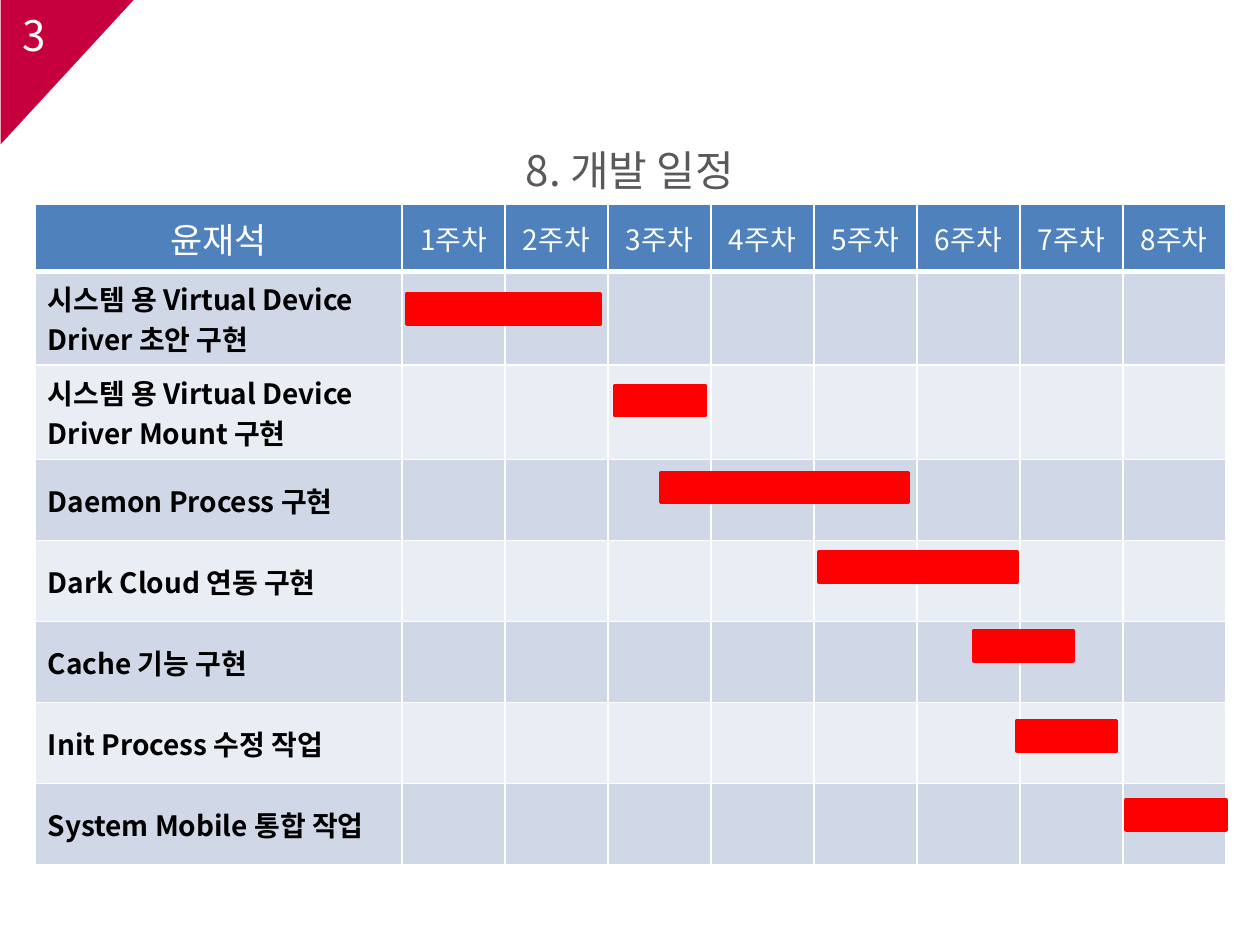
from lxml import etree
from pptx import Presentation
from pptx import util as u
from pptx.dml.color import RGBColor
from pptx.enum import shapes, text
from pptx.oxml.ns import qn

Pt = u.Pt
FONT = "Noto Sans CJK KR"
COLORS = {"corner": "C5003D", "title": "595959", "header": "4F81BD", "odd": "D0D8E8",
          "even": "E9EDF4", "bar": "FF0000", "white": "FFFFFF", "black": "000000"}

PAGE = "3"
TITLE = "8. 개발 일정"
OWNER = "윤재석"
WEEKS = 8
# task, row height, bar start in weeks, bar length in weeks, bar top
TASKS = [
    ("시스템 용 Virtual Device Driver 초안 구현", 53.5, 0.05, 1.88, 167.8),
    ("시스템 용 Virtual Device Driver Mount 구현", 54, 2.07, 0.87, 220.3),
    ("Daemon Process 구현", 46.3, 2.51, 2.41, 270),
    ("Dark Cloud 연동 구현", 46.3, 4.05, 1.92, 315.4),
    ("Cache 기능 구현", 46.3, 5.55, 0.97, 360.7),
    ("Init Process 수정 작업", 46.3, 5.97, 0.97, 411.8),
    ("System Mobile 통합 작업", 46.3, 7.03, 0.97, 457.2),
]
LEFT, TOP, LABEL_W, WEEK_W = 20.2, 116.7, 209.5, 58.86
HEADER_H, BAR_H = 38.5, 17.3


def rgb(name):
    return RGBColor.from_string(COLORS[name])


def write(tf, words, size, color, bold=False, align=None):
    tf.text = words
    p = tf.paragraphs[0]
    p.alignment = align
    for r in p.runs:
        r.font.size, r.font.bold, r.font.name = Pt(size), bold, FONT
        r.font.color.rgb = rgb(color)
        etree.SubElement(r.font._element, qn("a:ea"), typeface=FONT)


def add_text(s, box, words, size, color, align=None):
    tf = s.shapes.add_textbox(*map(Pt, box)).text_frame
    tf.word_wrap = True
    tf.vertical_anchor = text.MSO_ANCHOR.MIDDLE
    write(tf, words, size, color, align=align)


def add_block(s, kind, box, color):
    sp = s.shapes.add_shape(kind, *map(Pt, box))
    sp.shadow.inherit = False
    sp.fill.solid()
    sp.fill.fore_color.rgb = rgb(color)
    sp.line.fill.background()
    return sp


def style_cell(cell, color, bottom=1):
    cell.fill.solid()
    cell.fill.fore_color.rgb = rgb(color)
    cell.vertical_anchor = text.MSO_ANCHOR.MIDDLE
    tcPr = cell._tc.get_or_add_tcPr()
    for i, (side, width) in enumerate(zip("LRTB", (1, 1, 1, bottom))):
        ln = etree.Element(qn(f"a:ln{side}"), w=str(Pt(width)))
        fill = etree.SubElement(ln, qn("a:solidFill"))
        etree.SubElement(fill, qn("a:srgbClr"), val=COLORS["white"])
        tcPr.insert(i, ln)


def add_schedule(s):
    heights = [HEADER_H] + [task[1] for task in TASKS]
    widths = [LABEL_W] + [WEEK_W] * WEEKS
    table = s.shapes.add_table(len(heights), len(widths), Pt(LEFT), Pt(TOP),
                               Pt(sum(widths)), Pt(sum(heights))).table
    for col, width in zip(table.columns, widths):
        col.width = Pt(width)
    for row, height in zip(table.rows, heights):
        row.height = Pt(height)
    for c in range(WEEKS + 1):
        cell = table.cell(0, c)
        style_cell(cell, "header", bottom=3)
        write(cell.text_frame, f"{c}주차" if c else OWNER, 16 if c else 20,
              "white", align=text.PP_ALIGN.CENTER)
    for i, task in enumerate(TASKS, 1):
        for c in range(WEEKS + 1):
            style_cell(table.cell(i, c), "odd" if i % 2 else "even")
        write(table.cell(i, 0).text_frame, task[0], 16, "black", bold=True)


def add_bars(s):
    for _, _, start, length, top in TASKS:
        box = (LEFT + LABEL_W + start * WEEK_W, top, length * WEEK_W, BAR_H)
        sp = add_block(s, shapes.MSO_SHAPE.RECTANGLE, box, "bar")
        sp.line.color.rgb = rgb("bar")
        sp.line.width = Pt(2)


def main():
    prs = Presentation()
    prs.slide_width, prs.slide_height = Pt(720), Pt(540)
    s = prs.slides.add_slide(prs.slide_layouts[6])
    corner = add_block(s, shapes.MSO_SHAPE.RIGHT_TRIANGLE, (-2.9, 2.9, 82.8, 76.3), "corner")
    corner.rotation = 90
    add_text(s, (5.8, 0, 70.6, 39.6), PAGE, 24, "white")
    add_text(s, (36, 77, 648, 39.6), TITLE, 24, "title", text.PP_ALIGN.CENTER)
    add_schedule(s)
    add_bars(s)
    prs.save("out.pptx")


if __name__ == "__main__":
    main()
